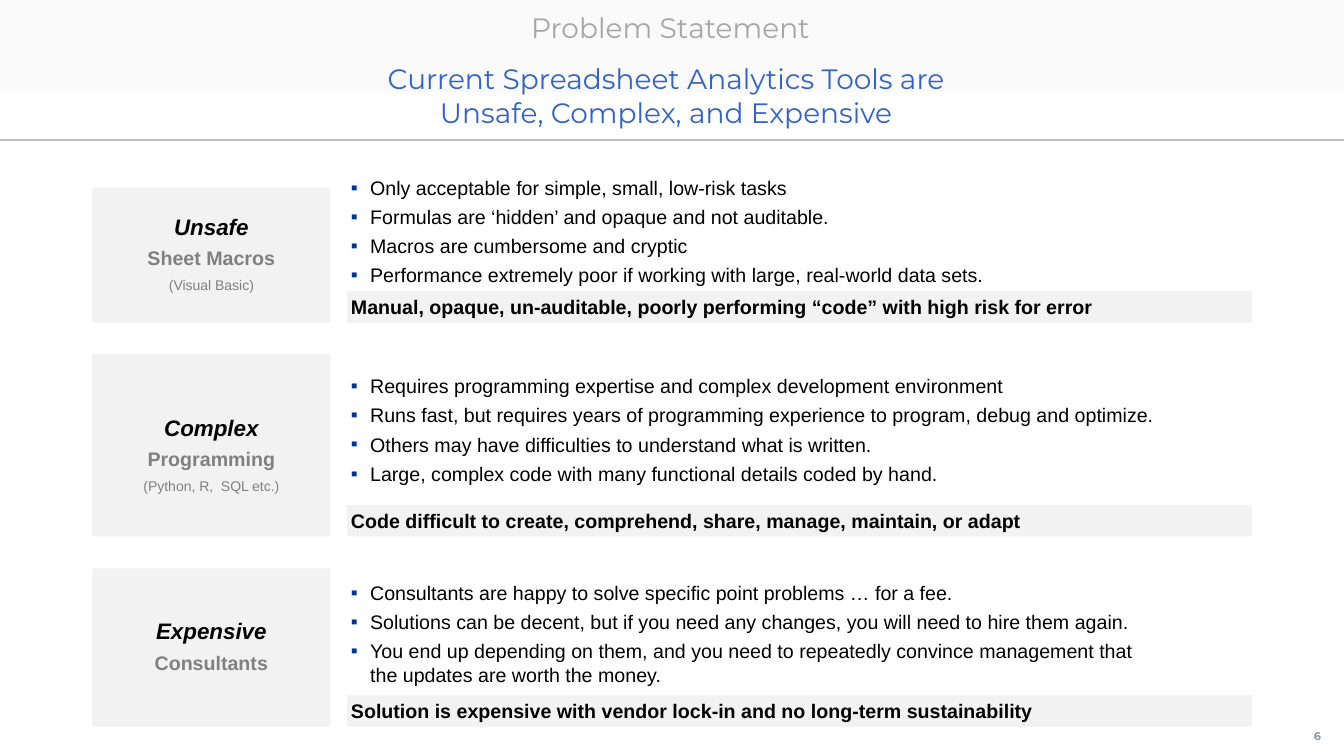
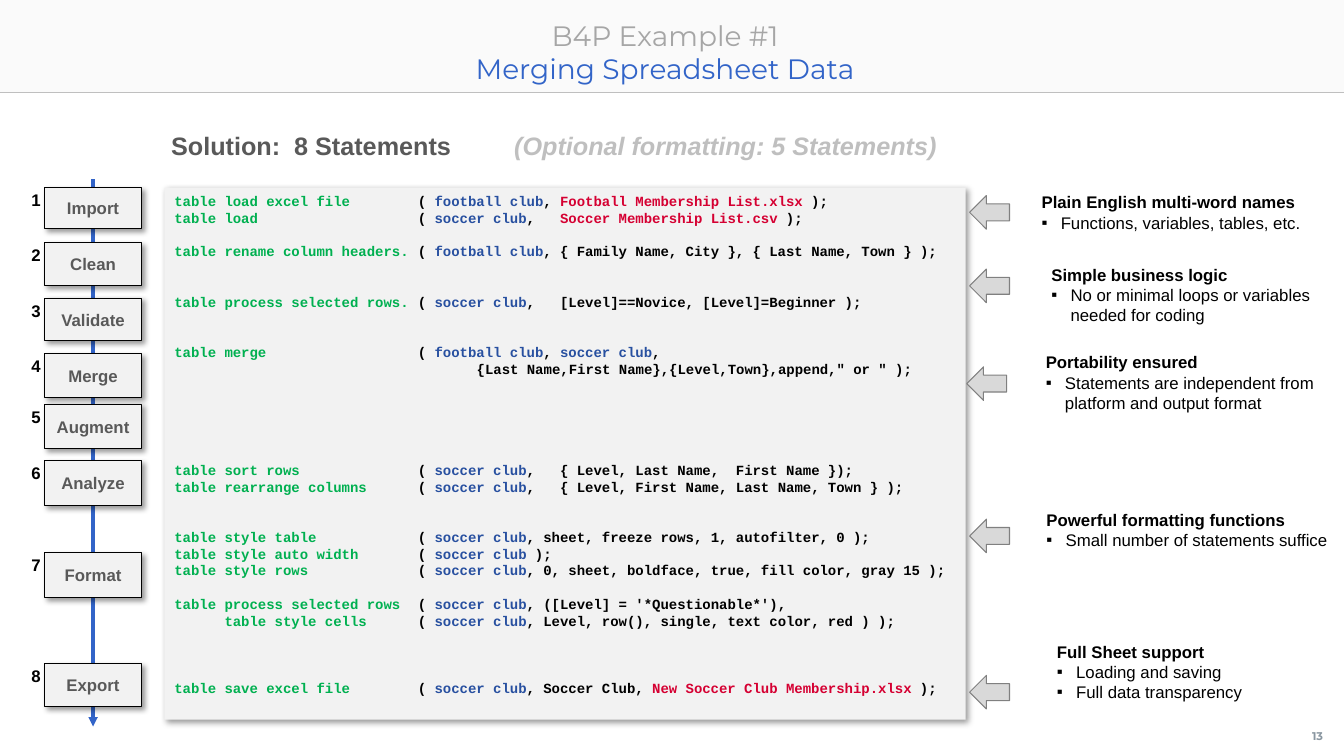
import pptx
import pptx.util
import pptx.dml.color
import pptx.enum.shapes
import pptx.enum.text
import pptx.oxml
import pptx.oxml.ns
from lxml import etree

Pt = pptx.util.Pt
SHAPE = pptx.enum.shapes.MSO_SHAPE
qn = pptx.oxml.ns.qn

WIDTH, HEIGHT = 960, 540
BLACK, PALE, RULE = "000000", "F2F2F2", "BFBFBF"
BLUE, MUTED, GRAY, DARK = "3264C8", "A6A6A6", "808080", "595959"
COMMAND, TABLE_NAME, FILE_NAME = "00B050", "2850A0", "D50032"
TITLE_FORM = dict(font="Montserrat", size=20, align="CENTER", inset=(0, 3.6, 7.2, 3.6))
CODE_LINE = 12


def rgb(hex_code):
    return pptx.dml.color.RGBColor.from_string(hex_code)


def add_xml(parent, tag, **attributes):
    return etree.SubElement(parent, qn(tag), {k: str(v) for k, v in attributes.items()})


def para(*runs, **form):
    """A paragraph: runs are strings or (string, format) pairs."""
    return runs, form


def format_paragraph(paragraph, first, align="LEFT", before=0, after=0, line=None,
                     bullet=None, indent=13.7, tabs=(), **_):
    properties = paragraph._p.get_or_add_pPr()
    if bullet:
        properties.set("marL", str(Pt(indent)))
        properties.set("indent", str(-Pt(indent)))
        add_xml(add_xml(properties, "a:buClr"), "a:srgbClr", val=bullet)
        add_xml(properties, "a:buFont", typeface="Arial")
        add_xml(properties, "a:buChar", char="▪")
    if tabs:
        stops = add_xml(properties, "a:tabLst")
        for stop in tabs:
            add_xml(stops, "a:tab", pos=Pt(stop), algn="l")
    paragraph.alignment = getattr(pptx.enum.text.PP_ALIGN, align)
    paragraph.space_before = Pt(0 if first else before)
    paragraph.space_after = Pt(after)
    if line:
        paragraph.line_spacing = line


def format_run(run, font="Arial", size=14, color=BLACK, bold=False, italic=False, **_):
    run.font.name, run.font.size = font, Pt(size)
    run.font.bold, run.font.italic = bold, italic
    run.font.color.rgb = rgb(color)


def write(shape, paragraphs, anchor="TOP", inset=(3, 3, 3, 3), wrap=True, **form):
    frame = shape.text_frame
    frame.auto_size = pptx.enum.text.MSO_AUTO_SIZE.NONE
    frame.word_wrap = wrap
    frame.vertical_anchor = getattr(pptx.enum.text.MSO_ANCHOR, anchor)
    (frame.margin_left, frame.margin_top,
     frame.margin_right, frame.margin_bottom) = map(Pt, inset)
    for index, (runs, own) in enumerate(paragraphs):
        paragraph = frame.add_paragraph() if index else frame.paragraphs[0]
        format_paragraph(paragraph, index == 0, **{**form, **own})
        for piece in runs:
            text, special = (piece, {}) if isinstance(piece, str) else piece
            run = paragraph.add_run()
            run.text = text
            format_run(run, **{**form, **own, **special})


def add_text(slide, box, paragraphs, **form):
    write(slide.shapes.add_textbox(*map(Pt, box)), paragraphs, **form)


def add_block(slide, box, fill=PALE, line=None, kind=SHAPE.RECTANGLE, shadow=False):
    block = slide.shapes.add_shape(kind, *map(Pt, box))
    block.shadow.inherit = False
    block.fill.solid()
    block.fill.fore_color.rgb = rgb(fill)
    if line:
        block.line.color.rgb = rgb(line)
        block.line.width = Pt(0.75)
    else:
        block.line.fill.background()
    if shadow:
        effects = block._element.spPr.find(qn("a:effectLst"))
        outer = add_xml(effects, "a:outerShdw", blurRad=Pt(4), dist=Pt(3),
                        dir=45 * 60000, algn="tl", rotWithShape=0)
        add_xml(add_xml(outer, "a:srgbClr", val=BLACK), "a:alpha", val=40000)
    return block


def add_line(slide, start, end, color, width, arrow=False):
    line = slide.shapes.add_connector(pptx.enum.shapes.MSO_CONNECTOR.STRAIGHT,
                                      *map(Pt, start + end))
    line.line.color.rgb = rgb(color)
    line.line.width = Pt(width)
    if arrow:
        add_xml(line.line._get_or_add_ln(), "a:tailEnd", type="triangle")
    add_xml(line._element.spPr, "a:effectLst")


def place(placeholder, box):
    (placeholder.left, placeholder.top,
     placeholder.width, placeholder.height) = map(Pt, box)


def add_frame(slide, title_box, title, rule_top, number):
    """Header band, title, rule and page number."""
    band = add_block(slide, (0, 0, WIDTH, 66))
    add_xml(band._element.spPr.find(".//" + qn("a:srgbClr")), "a:alpha", val=34000)
    slide.shapes._spTree.insert(2, band._element)
    place(slide.shapes.title, title_box)
    write(slide.shapes.title, title, color=MUTED, **TITLE_FORM)
    add_line(slide, (0, rule_top), (WIDTH, rule_top), RULE, 1)
    add_text(slide, (928, 512, 32, 28), [para(number)], anchor="MIDDLE", align="CENTER",
             inset=(0, 3.6, 5.8, 3.6), wrap=False, font="Montserrat", size=8,
             color="8996A0", bold=True)


def add_problem(slide, top, height, label, label_inset, placeholder, list_box, points, verdict):
    """Label block on the left; list and a verdict bar on the right."""
    left, label_width, right, bar_width, bar_height = 66, 170, 247.7, 646.6, 22.5
    name, *details = label
    sizes = (14, 10)
    lines = [para(name, size=16, italic=True)]
    lines += [para(detail, size=size, color=GRAY, bold=size == 14)
              for detail, size in zip(details, sizes)]
    write(add_block(slide, (left, top, label_width, height)), lines, anchor="MIDDLE",
          inset=(3, label_inset, 3, 3), align="CENTER", line=0.9, before=3, after=3, bold=True)
    bar = add_block(slide, (right, top + height - bar_height, bar_width, bar_height))
    write(bar, [para(verdict)], bold=True)
    list_offset, list_width, list_height = list_box
    place(placeholder, (right, top + list_offset, list_width, list_height))
    write(placeholder, [para(point) for point in points], bullet="003399",
          before=2, after=2, line=Pt(16.8))


PROBLEMS = [
    (134, 96.5, ("Unsafe", "Sheet Macros", "(Visual Basic)"), 3, (-11.6, 629, 79),
     ("Only acceptable for simple, small, low-risk tasks",
      "Formulas are ‘hidden’ and opaque and not auditable.",
      "Macros are cumbersome and cryptic",
      "Performance extremely poor if working with large, real-world data sets."),
     "Manual, opaque, un-auditable, poorly performing “code” with high risk for error"),
    (252.7, 130.5, ("Complex", "Programming", "(Python, R,  SQL etc.)"), 18, (11.5, 618, 91),
     ("Requires programming expertise and complex development environment",
      "Runs fast, but requires years of programming experience to program, debug and optimize.",
      "Others may have difficulties to understand what is written.",
      "Large, complex code with many functional details coded by hand."),
     "Code difficult to create, comprehend, share, manage, maintain, or adapt"),
    (406, 113, ("Expensive", "Consultants"), 3, (5.8, 578, 79),
     ("Consultants are happy to solve specific point problems … for a fee.",
      "Solutions can be decent, but if you need any changes, you will need to hire them again.",
      "You end up depending on them, and you need to repeatedly convince management that "
      "the updates are worth the money."),
     "Solution is expensive with vendor lock-in and no long-term sustainability"),
]


def build_problem_slide(deck):
    slide = deck.slides.add_slide(deck.slide_layouts[4])
    add_frame(slide, (173.5, 3.6, 618, 31), [para("Problem Statement")], 100, "6")
    add_text(slide, (37.4, 40.3, 884, 54),
             [para("Current Spreadsheet Analytics Tools are"),
              para("Unsafe, Complex, and Expensive")], color=BLUE, **TITLE_FORM)
    bodies = [p for p in slide.placeholders if p.placeholder_format.idx]
    for body, (top, height, label, inset, list_box, points, verdict) in zip(bodies, PROBLEMS):
        add_problem(slide, top, height, label, inset, body, list_box, points, verdict)
    for spare in bodies[len(PROBLEMS):]:
        spare._element.getparent().remove(spare._element)


# Step name, top, height
STEPS = [
    ("Import", 134, 29.5), ("Clean", 173.5, 30.5), ("Validate", 213, 30.5),
    ("Merge", 252.7, 31), ("Augment", 288.7, 32), ("Analyze", 329, 32),
    ("Format", 394.6, 32), ("Export", 473.8, 31),
]

# Empty lines above, command, arguments with names between bars
CODE = [
    (0, "table load excel file", "( |football club|, |Football Membership List.xlsx| );"),
    (0, "table load", "( |soccer club|,   |Soccer Membership List.csv| );"),
    (1, "table rename column headers.",
     "( |football club|, { Family Name, City }, { Last Name, Town } );"),
    (2, "table process selected rows.",
     "( |soccer club|,   [Level]==Novice, [Level]=Beginner );"),
    (2, "table merge", "( |football club|, |soccer club|,"),
    (0, "", "\t{Last Name,First Name},{Level,Town},append,\" or \" );"),
    (5, "table sort rows", "( |soccer club|,   { Level, Last Name,  First Name });"),
    (0, "table rearrange columns",
     "( |soccer club|,   { Level, First Name, Last Name, Town } );"),
    (2, "table style table", "( |soccer club|, sheet, freeze rows, 1, autofilter, 0 );"),
    (0, "table style auto width", "( |soccer club| );"),
    (0, "table style rows",
     "( |soccer club|, 0, sheet, boldface, true, fill color, gray 15 );"),
    (1, "table process selected rows", "( |soccer club|, ([Level] = '*Questionable*'),"),
    (0, "      table style cells",
     "( |soccer club|, Level, row(), single, text color, red ) );"),
    (3, "table save excel file",
     "( |soccer club|, Soccer Club, |New Soccer Club Membership.xlsx| );"),
]

# Text box, left and top of its arrow, heading, points
BENEFITS = [
    ((741, 134, 204, 38), (692.6, 139.7), "Plain English multi-word names",
     ["Functions, variables, tables, etc."]),
    ((748, 185.8, 196, 51), (692.6, 192.2), "Simple business logic",
     ["No or minimal loops or variables needed for coding"]),
    ((744, 248.4, 199, 51), (690.5, 262), "Portability ensured",
     ["Statements are independent from platform and output format"]),
    ((744.5, 360.7, 214, 51), (692.6, 370.8), "Powerful formatting functions",
     ["Small number of statements suffice"]),
    ((752, 455, 208, 51), (692.6, 482.4), "Full Sheet support",
     ["Loading and saving", "Full data transparency"]),
]


def add_steps(slide, left, width):
    center = left + width / 2
    add_line(slide, (center, 128), (center, 519), BLUE, 2.25, arrow=True)
    for number, (name, top, height) in enumerate(STEPS, 1):
        step = add_block(slide, (left, top, width, height), line=BLACK, shadow=True)
        write(step, [para(name)], anchor="MIDDLE", align="CENTER", wrap=False,
              size=12, color=DARK, bold=True)
        add_text(slide, (left - 17.5, top, 17.5, 17.5), [para(str(number))],
                 anchor="MIDDLE", align="RIGHT", size=12, bold=True)


def code_line(gap, command, arguments):
    runs = [(command, dict(color=COMMAND))] if command else []
    for index, text in enumerate(("\t" + arguments if command else arguments).split("|")):
        is_file = text.endswith((".xlsx", ".csv"))
        color = (FILE_NAME if is_file else TABLE_NAME) if index % 2 else BLACK
        runs.append((text, dict(color=color)))
    return para(*runs, before=gap * CODE_LINE, tabs=(174,) if command else (216,))


def add_code(slide, box):
    write(add_block(slide, box, shadow=True), [code_line(*row) for row in CODE],
          inset=(7.2, 3.6, 7.2, 3.6), font="Courier New", size=10, bold=True,
          line=Pt(CODE_LINE))


def add_benefit(slide, box, arrow, heading, points):
    add_block(slide, (*arrow, 28.5, 24), fill="D9D9D9", line=GRAY, kind=SHAPE.LEFT_ARROW)
    add_text(slide, box, [para(heading, bold=True)] +
             [para(point, bullet=BLACK) for point in points], size=12, line=Pt(14.5))


def build_example_slide(deck):
    slide = deck.slides.add_slide(deck.slide_layouts[5])
    add_frame(slide, (36.7, 9.4, 884, 57),
              [para("B4P Example #1"), para("Merging Spreadsheet Data", color=BLUE)], 66, "13")
    add_text(slide, (115.2, 89.3, 575, 29),
             [para("Solution:  8 Statements",
                   ("\t(Optional formatting: 5 Statements)", dict(color=RULE, italic=True)),
                   tabs=(245,))],
             inset=(7.2, 3.6, 7.2, 3.6), size=18, color=DARK, bold=True)
    add_steps(slide, 32, 69)
    add_code(slide, (117.4, 134, 572.4, 380))
    for benefit in BENEFITS:
        add_benefit(slide, *benefit)


def main():
    deck = pptx.Presentation()
    deck.slide_width, deck.slide_height = Pt(WIDTH), Pt(HEIGHT)
    build_problem_slide(deck)
    build_example_slide(deck)
    deck.save("out.pptx")


if __name__ == "__main__":
    main()
